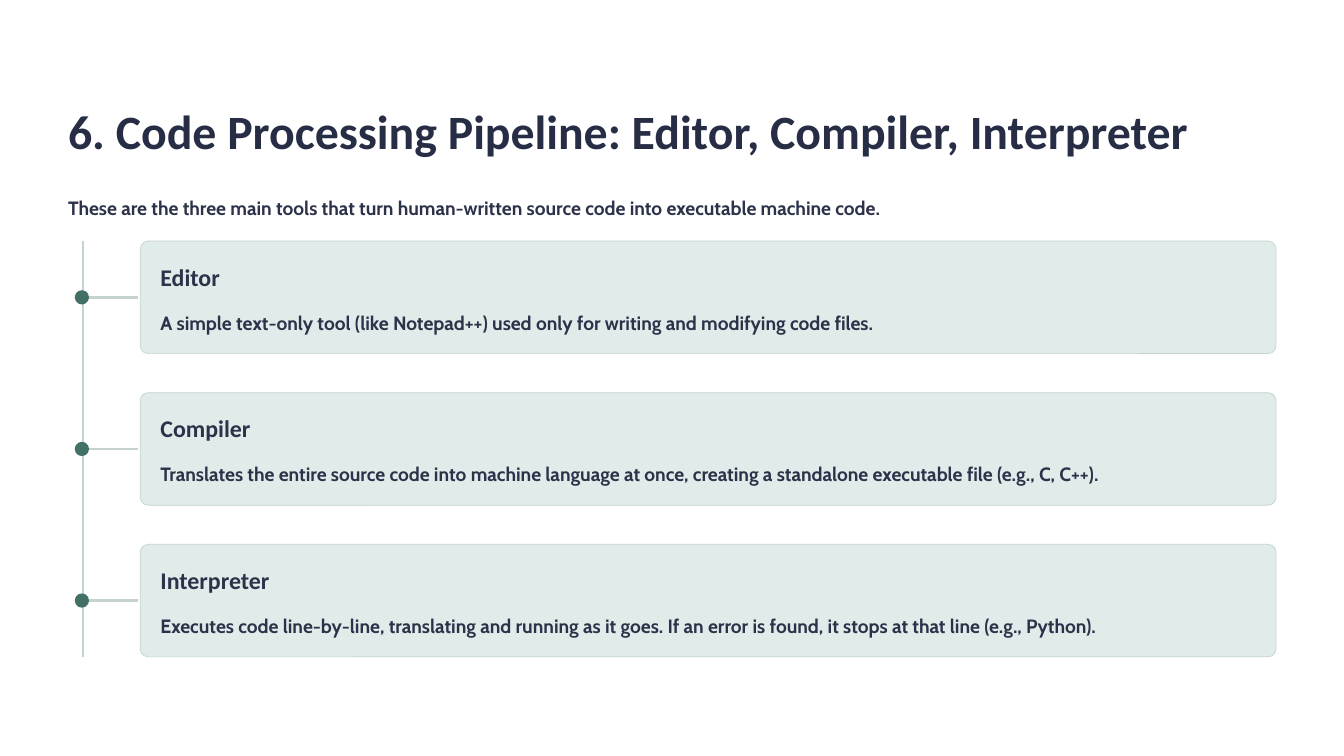
import pptx
import pptx.util
import pptx.dml.color
import pptx.enum.shapes
import pptx.enum.text
import pptx.oxml
import pptx.oxml.ns

Inches, Pt = pptx.util.Inches, pptx.util.Pt
SHAPE = pptx.enum.shapes.MSO_SHAPE

NAVY, INK = "272D45", "2C3249"
GREEN, MINT, RULE = "437066", "DFECE9", "C5D2CF"

TOOLS = [
    ("Editor",
     "A simple text-only tool (like Notepad++) used only for writing and modifying code files."),
    ("Compiler",
     "Translates the entire source code into machine language at once, "
     "creating a standalone executable file (e.g., C, C++)."),
    ("Interpreter",
     "Executes code line-by-line, translating and running as it goes. "
     "If an error is found, it stops at that line (e.g., Python)."),
]


def rgb(color):
    return pptx.dml.color.RGBColor.from_string(color)


def write(s, text, size, font, color, spacing):
    tf = s.text_frame
    tf.margin_left = tf.margin_right = tf.margin_top = tf.margin_bottom = 0
    tf.word_wrap = True
    tf.auto_size = pptx.enum.text.MSO_AUTO_SIZE.NONE
    tf.vertical_anchor = pptx.enum.text.MSO_ANCHOR.TOP
    p = tf.paragraphs[0]
    p.alignment = pptx.enum.text.PP_ALIGN.LEFT
    p.line_spacing = Pt(spacing)
    r = p.add_run()
    r.text = text
    r.font.size = Pt(size)
    r.font.name = font
    r.font.bold = True
    r.font.color.rgb = rgb(color)


def add_text(slide, box, text, size, font, spacing):
    s = slide.shapes.add_textbox(*map(Inches, box))
    write(s, text, size, font, INK, spacing)


def add_filled(slide, kind, box, fill, line=None):
    s = slide.shapes.add_shape(kind, *map(Inches, box))
    s.shadow.inherit = False
    s.fill.solid()
    s.fill.fore_color.rgb = rgb(fill)
    if line:
        s.line.color.rgb = rgb(line)
        s.line.width = Pt(0.6)
    else:
        s.line.fill.background()
    return s


def add_rule(slide, x1, y1, x2, y2):
    s = slide.shapes.add_connector(
        pptx.enum.shapes.MSO_CONNECTOR.STRAIGHT, *map(Inches, (x1, y1, x2, y2)))
    s.line.color.rgb = rgb(RULE)
    s.line.width = Pt(2)
    properties = s._element.find(pptx.oxml.ns.qn("p:spPr"))
    properties.append(pptx.oxml.parse_xml(
        "<a:effectLst %s/>" % pptx.oxml.ns.nsdecls("a")))


def add_heading(slide, left, top, width):
    # Title and lead sentence
    title = slide.shapes.title
    title.left, title.top = Inches(left), Inches(top)
    title.width, title.height = Inches(width), Inches(0.72)
    write(title, "6. Code Processing Pipeline: Editor, Compiler, Interpreter",
          41, "Calibri", NAVY, 51.5)
    add_text(slide, (left, top + 1.06, width, 0.37),
             "These are the three main tools that turn human-written "
             "source code into executable machine code.", 16.5, "Cabin", 26.5)


def add_step(slide, left, top, width, height, name, description):
    # Branch and dot on the timeline
    middle, dot = top + height / 2, 0.17
    add_rule(slide, left + 0.06, middle, left + 0.75, middle)
    add_filled(slide, SHAPE.OVAL, (left, middle - dot / 2, dot, dot), GREEN)

    # Card with its name and description
    card_left = left + 0.78
    card_width = width - 0.78
    card = add_filled(slide, SHAPE.ROUNDED_RECTANGLE,
                      (card_left, top, card_width, height), MINT, RULE)
    card.adjustments[0] = 0.07
    text_left, text_width = card_left + 0.24, card_width - 0.48
    add_text(slide, (text_left, top + 0.24, 2.88, 0.36), name, 20.5, "Calibri", 25.5)
    add_text(slide, (text_left, top + 0.74, text_width, 0.37),
             description, 16.5, "Cabin", 26.5)


def add_timeline(slide, left, top, width, height):
    # Spine, then equally spaced steps
    add_rule(slide, left + 0.1, top, left + 0.1, top + height)
    card_height = 1.34
    pitch = (height - card_height) / (len(TOOLS) - 1)
    for i, (name, description) in enumerate(TOOLS):
        add_step(slide, left, top + i * pitch, width, card_height, name, description)


def main():
    prs = pptx.Presentation()
    prs.slide_width, prs.slide_height = Inches(16), Inches(9)
    slide = prs.slides.add_slide(prs.slide_layouts[5])
    add_heading(slide, 0.81, 1.18, 14.39)
    add_timeline(slide, 0.89, 2.87, 14.3, 4.95)
    prs.save("out.pptx")


if __name__ == "__main__":
    main()
